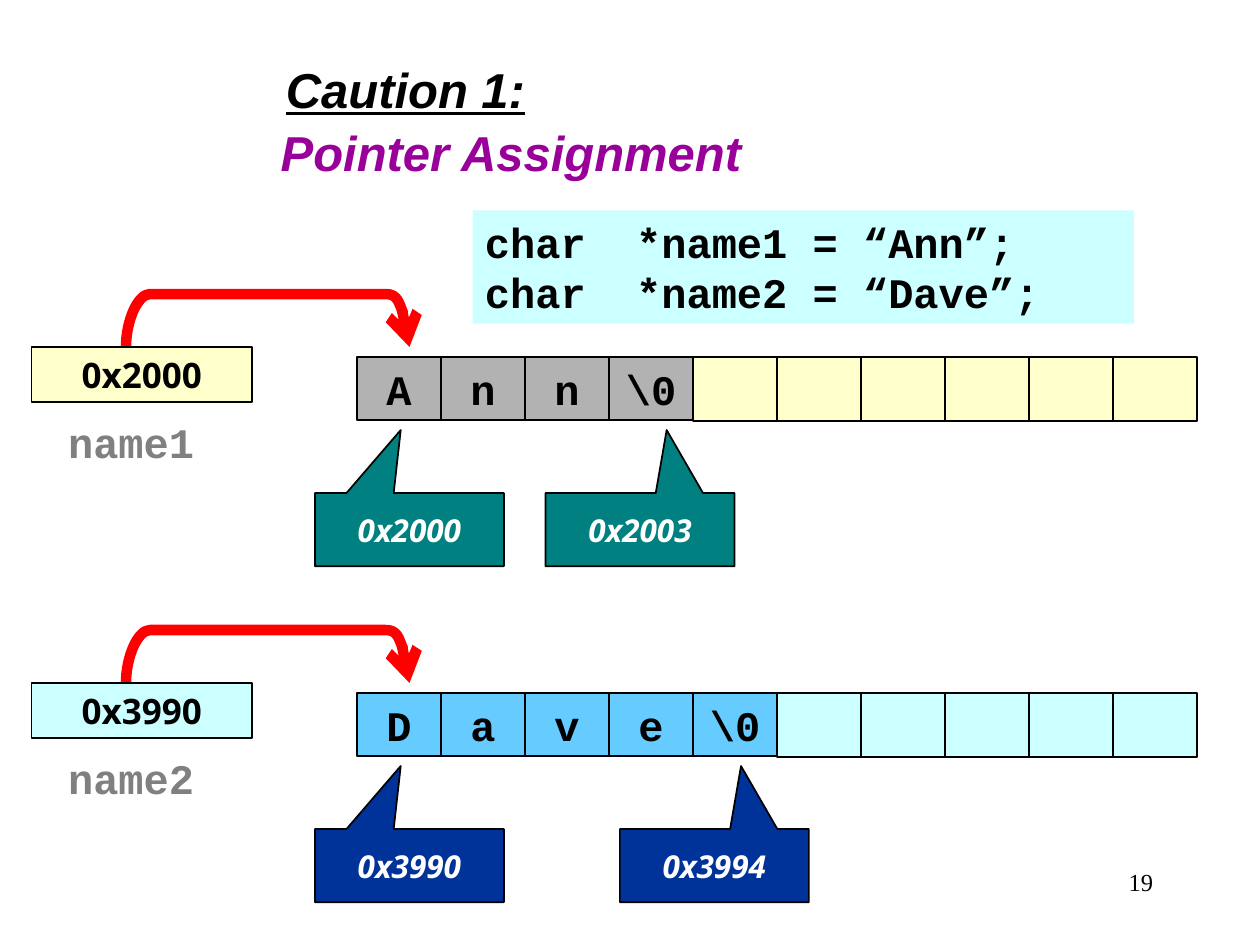
from pptx import Presentation
from pptx.dml.color import RGBColor
from pptx.enum.shapes import MSO_SHAPE
from pptx.enum.text import MSO_ANCHOR, PP_ALIGN
from pptx.oxml.ns import qn
from pptx.util import Inches, Pt
from lxml.etree import SubElement

TITLES = [
    ("Caution 1:", 2.17, 0.42, 4.42, "000000", True),
    ("Pointer Assignment", 2.13, 0.92, 4.04, "990099", False),
]
CODE = "char  *name1 = “Ann”;\nchar  *name2 = “Dave”;"
PAGE_NUMBER = "19"
STRINGS = [
    dict(name="name1", letters=["A", "n", "n", "\\0"], first="0x2000", last="0x2003",
         last_left=4.33, used="B2B2B2", free="FFFFCC", callout="008080"),
    dict(name="name2", letters=["D", "a", "v", "e", "\\0"], first="0x3990", last="0x3994",
         last_left=4.92, used="66CCFF", free="CCFFFF", callout="003399"),
]

CELL_COUNT = 9 + 1
CELL = 2 / 3
CELLS_LEFT = 17 / 6
FIRST_TOP = 17 / 6
ROW_PITCH = 8 / 3

prs = Presentation()
prs.slide_width, prs.slide_height = Inches(10), Inches(7.5)
slide = prs.slides.add_slide(prs.slide_layouts[6])


def color(value):
    return RGBColor.from_string(value)


def write(shape, text, font, size, ink="000000", align=PP_ALIGN.CENTER,
          anchor=MSO_ANCHOR.TOP, bold=True, italic=False, underline=False, wrap=True):
    frame = shape.text_frame
    frame.text = text
    frame.word_wrap = wrap
    frame.vertical_anchor = anchor
    for paragraph in frame.paragraphs:
        paragraph.alignment = align
        for run in paragraph.runs:
            run.font.name, run.font.size = font, Pt(size)
            run.font.bold, run.font.italic = bold, italic
            run.font.underline = underline
            run.font.color.rgb = color(ink)


def text_box(left, top, width, height):
    return slide.shapes.add_textbox(Inches(left), Inches(top), Inches(width), Inches(height))


def block(left, top, width, height, fill, preset=MSO_SHAPE.RECTANGLE, outlined=True):
    shape = slide.shapes.add_shape(preset, Inches(left), Inches(top), Inches(width), Inches(height))
    shape.shadow.inherit = False
    shape.fill.solid()
    shape.fill.fore_color.rgb = color(fill)
    if outlined:
        shape.line.color.rgb = color("000000")
        shape.line.width = Pt(1)
    else:
        shape.line.fill.background()
    return shape


def callout(left, top, text, fill, tip):
    shape = block(left, top, 1.5, 0.58, fill, MSO_SHAPE.RECTANGULAR_CALLOUT)
    shape.adjustments[0], shape.adjustments[1] = tip, -1.363
    write(shape, text, "Open Sans", 18, "FFFFFF", anchor=MSO_ANCHOR.MIDDLE, italic=True, wrap=False)


def pointer_arrow(left, bottom):
    rise, width, bend = 0.42, 2.25, 0.19
    top, right = bottom - rise, left + width
    middle = bottom - rise / 2
    points = [(left, middle), (left + bend / 2, top), (left + bend, top),
              (right - bend, top),
              (right - bend / 2, top), (right, middle), (right, bottom)]
    builder = slide.shapes.build_freeform(Inches(left), Inches(bottom))
    builder.add_line_segments([(Inches(x), Inches(y)) for x, y in points], close=False)
    arrow = builder.convert_to_shape()
    outline = next(arrow.element.iter(qn("a:path")))
    steps = outline.findall(qn("a:lnTo"))
    for curve in (steps[:3], steps[4:]):
        bezier = SubElement(outline, qn("a:cubicBezTo"))
        curve[0].addprevious(bezier)
        for step in curve:
            bezier.append(step[0])
            outline.remove(step)
    arrow.shadow.inherit = False
    arrow.fill.background()
    arrow.line.color.rgb = color("FF0000")
    arrow.line.width = Pt(6)
    SubElement(arrow.line._get_or_add_ln(), qn("a:tailEnd"), type="arrow")


for title, left, top, width, ink, underline in TITLES:
    write(text_box(left, top, width, 0.57), title, "Arial", 28, ink, PP_ALIGN.LEFT,
          italic=True, underline=underline)

for row, string in enumerate(STRINGS):
    top = FIRST_TOP + row * ROW_PITCH
    letters = string["letters"]
    for column in range(CELL_COUNT):
        left = CELLS_LEFT + column * CELL
        if column < len(letters):
            cell = block(left, top, CELL, 0.5, string["used"])
            write(cell, letters[column], "Courier New", 24)
        else:
            block(left, top, CELL, 0.51, string["free"])
    callout(2.5, top + 1.08, string["first"], string["callout"], -0.046)
    callout(string["last_left"], top + 1.08, string["last"], string["callout"], 0.141)
    pointer_arrow(1, top - 0.08)
    address = block(0.25, top - 0.08, 1.75, 0.44, string["free"])
    write(address, string["first"], "Open Sans", 20)
    write(text_box(0.33, top + 0.42, 1.42, 0.5), string["name"], "Courier New", 24, "808080")

code_box = block(3.75, 1.67, 5.25, 0.9, "CCFFFF", outlined=False)
write(code_box, CODE, "Courier New", 24, align=PP_ALIGN.LEFT)
write(text_box(7.17, 6.83, 2.08, 0.5), PAGE_NUMBER, "Times New Roman", 14,
      align=PP_ALIGN.RIGHT, bold=False)

prs.save("out.pptx")
